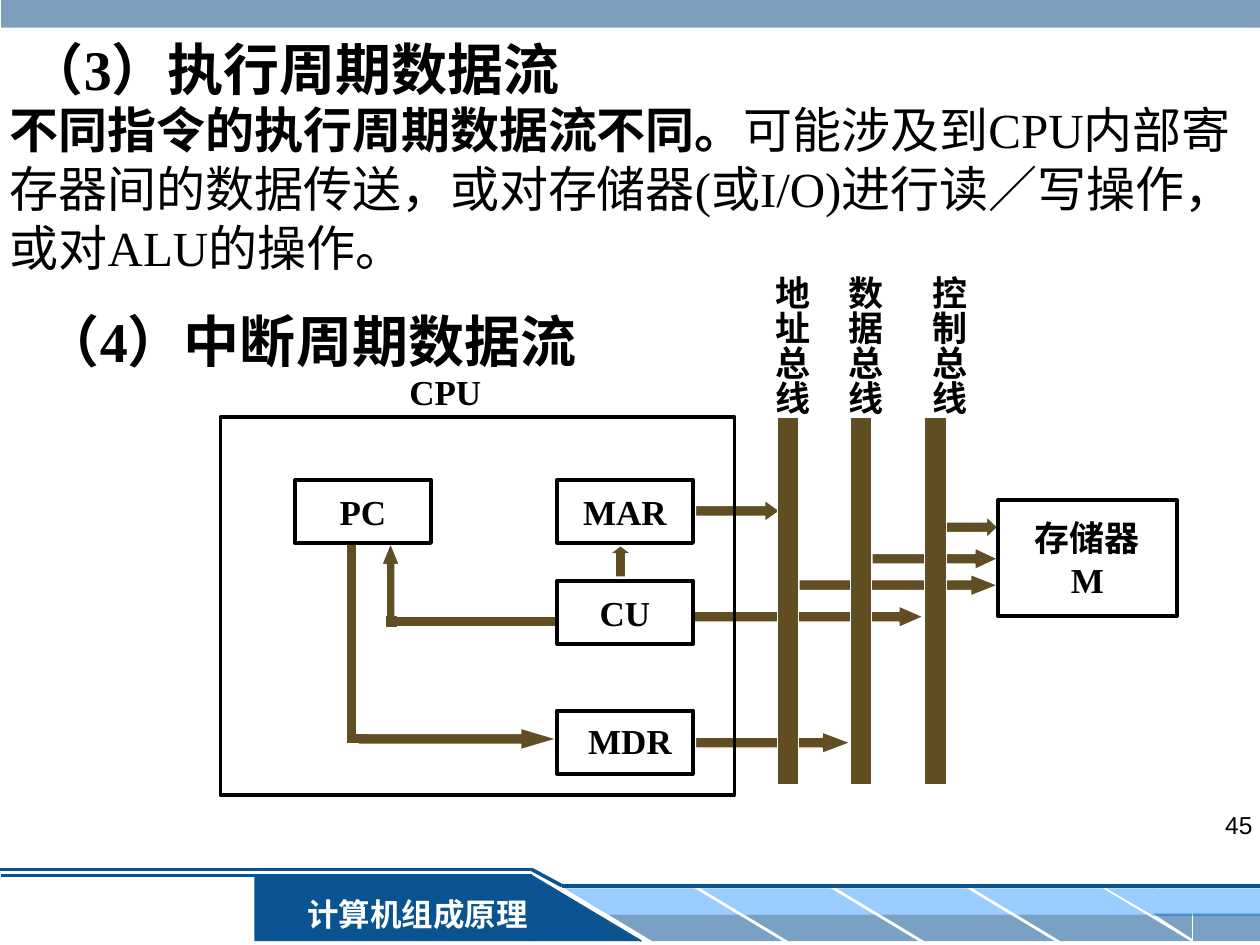
from lxml import etree
from pptx import Presentation
from pptx import util as u
from pptx.dml.color import RGBColor
from pptx.enum import shapes, text
from pptx.oxml import ns

PRESET = shapes.MSO_SHAPE
ALIGN = text.PP_ALIGN
ANCHOR = text.MSO_ANCHOR
NAVY, SKY, BAND, BROWN = "095391", "99CCFF", "336699", "614F23"
BLACK, WHITE = "000000", "FFFFFF"


def color(value):
    return RGBColor.from_string(value)


def inches(*lengths):
    return [u.Inches(length) for length in lengths]


def write(shape, runs, size=20, bold=True, font="Times New Roman", fill=BLACK,
          align=ALIGN.LEFT, anchor=ANCHOR.TOP, wrap=False, vertical=False):
    """Write a list of paragraphs; each is a string or a list of (text, bold) runs."""
    frame = shape.text_frame
    frame.word_wrap = wrap
    frame.auto_size = text.MSO_AUTO_SIZE.NONE
    frame.vertical_anchor = anchor
    across, down = (0.05, 0.1) if vertical else (0.1, 0.05)
    frame.margin_left = frame.margin_right = u.Inches(across)
    frame.margin_top = frame.margin_bottom = u.Inches(down)
    if vertical:
        frame._txBody.bodyPr.set("vert", "eaVert")
    for index, content in enumerate(runs):
        paragraph = frame.add_paragraph() if index else frame.paragraphs[0]
        paragraph.alignment = align
        parts = [(content, bold)] if isinstance(content, str) else content
        for words, heavy in parts:
            run = paragraph.add_run()
            run.text = words
            run.font.name, run.font.size = font, u.Pt(size)
            run.font.bold = heavy
            run.font.color.rgb = color(fill)
    return shape


def label(slide, box, runs, **style):
    return write(slide.shapes.add_textbox(*inches(*box)), runs, **style)


def block(slide, preset, box, fill=None, line=None, weight=0.75, opacity=None, adjust=()):
    shape = slide.shapes.add_shape(preset, *inches(*box))
    shape.shadow.inherit = False
    if fill:
        shape.fill.solid()
        shape.fill.fore_color.rgb = color(fill)
    else:
        shape.fill.background()
    if opacity:
        tint = shape.fill._xPr.find(".//" + ns.qn("a:srgbClr"))
        etree.SubElement(tint, ns.qn("a:alpha")).set("val", str(opacity * 1000))
    if line:
        shape.line.color.rgb = color(line)
        shape.line.width = u.Pt(weight)
    else:
        shape.line.fill.background()
    for index, value in enumerate(adjust):
        shape.adjustments[index] = value
    return shape


def rule(slide, start, end, weight):
    line = slide.shapes.add_connector(shapes.MSO_CONNECTOR.STRAIGHT, *inches(*start, *end))
    line.line.color.rgb = color(NAVY)
    line.line.width = u.Pt(weight)
    etree.SubElement(line.element.spPr, ns.qn("a:effectLst"))


def draw_footer(slide, left, top):
    """Course banner; left and top mark the start of its upper rule."""
    def at(x, y, *size):
        return (left + x, top + y, *size)

    block(slide, PRESET.RECTANGLE, at(2.02, 0.05, 2.2, 0.52), NAVY)
    for start, end, weight in [((5.09, 0.57), (4.22, 0.05), 1),
                               ((4.22, 0.05), (0.01, 0.05), 1.5),
                               ((0, 0), (4.22, 0), 2)]:
        rule(slide, at(*start), at(*end), weight)
    for column in range(4):
        for x, y, fill, opacity in [(4.48, 0.15, SKY, None), (4.83, 0.36, NAVY, 54)]:
            tile = block(slide, PRESET.PARALLELOGRAM, at(x + 1.08 * column, y, 1.38, 0.21),
                         fill, opacity=opacity, adjust=[1.66])
            tile.element.spPr.xfrm.set("flipH", "1")
    block(slide, PRESET.RECTANGLE, at(9.14, 0.15, 0.86, 0.22), SKY)
    block(slide, PRESET.RIGHT_TRIANGLE, at(8.78, 0.15, 0.38, 0.22), SKY).rotation = 180
    block(slide, PRESET.RECTANGLE, at(9.47, 0.35, 0.53, 0.22), NAVY, opacity=54)
    block(slide, PRESET.RIGHT_TRIANGLE, at(9.15, 0.35, 0.31, 0.2), NAVY,
          opacity=54).rotation = 180
    rule(slide, at(4.46, 0.13), at(10, 0.13), 2)
    banner = block(slide, PRESET.RECTANGLE, at(2.29, 0.15, 2.05, 0.4), NAVY)
    write(banner, ["计算机组成原理"], size=18, fill=WHITE, align=ALIGN.CENTER,
          anchor=ANCHOR.MIDDLE)
    block(slide, PRESET.RIGHT_TRIANGLE, at(4.21, 0.05, 0.87, 0.52), NAVY)
    rule(slide, at(4.22, 0), at(4.46, 0.13), 2)


def draw_text(slide, left, top):
    title = slide.shapes.title
    title.left, title.top, title.width, title.height = inches(left + 0.12, top, 6.25, 0.64)
    write(title, ["（3）执行周期数据流"], size=32, wrap=True)
    label(slide, (left + 0.25, top + 2.16, 6.25, 0.64), ["（4）中断周期数据流"],
          size=32, wrap=True)
    body = [("不同指令的执行周期数据流不同。", True),
            ("可能涉及到CPU内部寄存器间的数据传送，或对存储器(或I/O)进行读／写操作，"
             "或对ALU的操作。", False)]
    label(slide, (left - 0.02, top + 0.52, 10, 1.5), [body], size=28, wrap=True)


def draw_flows(slide, left, top):
    """Data paths, placed from the corner of the CPU frame."""
    def flow(preset, x, y, width, height, adjust=(), line=WHITE):
        block(slide, preset, (left + x, top + y, width, height), BROWN, line, adjust=adjust)

    # PC to MDR
    flow(PRESET.RECTANGLE, 1, 1.01, 0.08, 1.58)
    flow(PRESET.RIGHT_ARROW, 1.09, 2.47, 1.58, 0.17, [0.5, 1.69])
    flow(PRESET.RECTANGLE, 1.06, 2.52, 0.1, 0.06, line=BROWN)
    # Registers, buses and memory: x, y, length, head
    for x, y, length, head in [(3.77, 0.66, 0.67, 0.71), (3.77, 2.5, 1.23, 1.32),
                               (5.17, 1.04, 1, 1.07), (3.75, 1.5, 1.83, 1.15),
                               (4.59, 1.25, 1.58, 1.27), (5.67, 0.79, 0.5, 0.53)]:
        flow(PRESET.RIGHT_ARROW, x, y, length, 0.17, [0.5, head])
    # CU to PC
    flow(PRESET.UP_ARROW, 1.28, 1, 0.14, 0.67, [0.5, 1.22])
    flow(PRESET.RECTANGLE, 1.36, 1.58, 1.3, 0.08)
    flow(PRESET.RECTANGLE, 1.32, 1.58, 0.08, 0.08, line=BROWN)
    # CU to MAR
    flow(PRESET.UP_ARROW, 3.09, 1.02, 0.17, 0.25, [0.5, 0.38])


def draw_units(slide, left, top):
    """CPU frame, registers, buses and memory, placed from the corner of the frame."""
    for bus_x, name_x, name in [(4.42, 4.22, "地址总线"), (5, 4.8, "数据总线"),
                                (5.59, 5.47, "控制总线")]:
        block(slide, PRESET.RECTANGLE, (left + bus_x, top, 0.17, 2.92), BROWN, WHITE)
        label(slide, (left + name_x, top - 1.22, 0.53, 1.22), [name], vertical=True)
    block(slide, PRESET.RECTANGLE, (left, top, 4.08, 3), line=BLACK, weight=2.25)
    label(slide, (left + 1.4, top - 0.42, 0.77, 0.44), ["CPU"])
    for x, y, width, height, lines in [(0.59, 0.5, 1.08, 0.5, ["PC"]),
                                       (2.67, 0.5, 1.08, 0.5, ["MAR"]),
                                       (2.67, 1.3, 1.08, 0.5, ["CU"]),
                                       (2.67, 2.33, 1.08, 0.5, []),
                                       (6.17, 0.66, 1.42, 0.92, ["存储器", "M"])]:
        unit = block(slide, PRESET.RECTANGLE, (left + x, top + y, width, height),
                     line=BLACK, weight=2.25)
        write(unit, lines, align=ALIGN.CENTER, anchor=ANCHOR.MIDDLE)
    label(slide, (left + 2.82, top + 2.35, 0.86, 0.44), ["MDR"])


def main():
    presentation = Presentation()
    presentation.slide_width, presentation.slide_height = inches(10, 7.5)
    slide = presentation.slides.add_slide(presentation.slide_layouts[5])
    draw_footer(slide, 0, 6.9)
    block(slide, PRESET.RECTANGLE, (0.01, -0.03, 10, 0.25), BAND, opacity=63)
    label(slide, (7.71, 6.38, 2.33, 0.52), ["45"], size=14, bold=False, font="Arial",
          align=ALIGN.RIGHT, wrap=True)
    draw_text(slide, 0, 0.22)
    draw_flows(slide, 1.75, 3.31)
    draw_units(slide, 1.75, 3.31)
    presentation.save("out.pptx")


if __name__ == "__main__":
    main()
